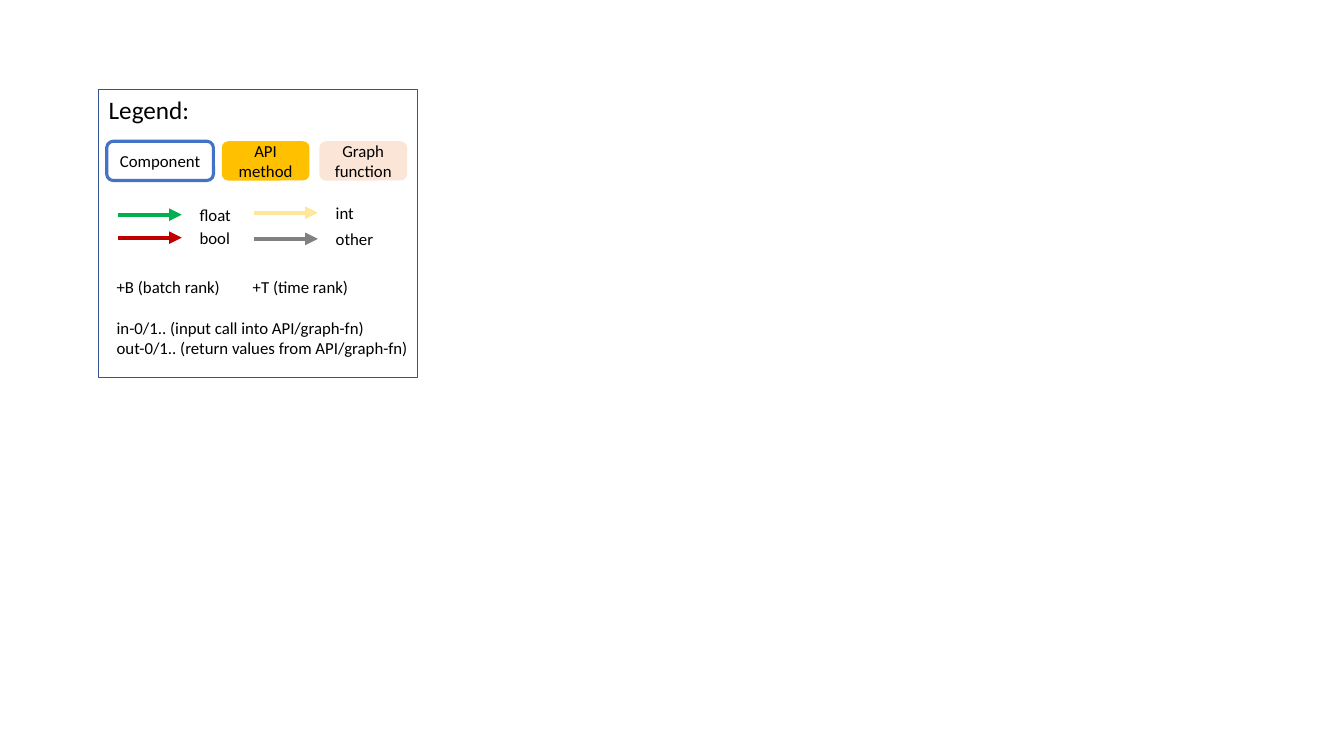
from lxml import etree
from pptx import Presentation
from pptx.dml.color import RGBColor
from pptx.enum import shapes, text
from pptx.oxml.ns import qn
from pptx.util import Cm, Pt


def color(hex_string):
    """Turn a hex string into a colour."""
    return RGBColor.from_string(hex_string)


def write(shape, content, size=12, align=text.PP_ALIGN.LEFT,
          anchor=text.MSO_ANCHOR.TOP, wrap=True):
    """Fill a shape with black Calibri text, one paragraph per line."""
    frame = shape.text_frame
    frame.text = content
    frame.word_wrap = wrap
    frame.vertical_anchor = anchor
    if not wrap:
        frame.auto_size = text.MSO_AUTO_SIZE.SHAPE_TO_FIT_TEXT
    for paragraph in frame.paragraphs:
        paragraph.alignment = align
        paragraph.font.size = Pt(size)
        for run in paragraph.runs:
            run.font.name = "Calibri"
            run.font.size = Pt(size)
            run.font.color.rgb = color("000000")
    return frame


presentation = Presentation()
presentation.slide_width = Cm(33.87)
presentation.slide_height = Cm(19.05)
slide = presentation.slides.add_slide(presentation.slide_layouts[6])
legend = slide.shapes.add_group_shape().shapes

# Frame and the three kinds of node
RECTANGLE = shapes.MSO_SHAPE.RECTANGLE
ROUNDED = shapes.MSO_SHAPE.ROUNDED_RECTANGLE
boxes = [
    ("Legend:", RECTANGLE, 2.49, 2.26, 8.03, 7.26, None, "325491", 1),
    ("API method", ROUNDED, 5.59, 3.56, 2.21, 0.99, "FFC000", None, 0),
    ("Graph function", ROUNDED, 8.05, 3.56, 2.21, 0.99, "FBE5D6", None, 0),
    ("Component", ROUNDED, 2.69, 3.56, 2.69, 0.99, None, "4472C4", 2.25),
]
for label, kind, left, top, width, height, fill, line, weight in boxes:
    box = legend.add_shape(kind, Cm(left), Cm(top), Cm(width), Cm(height))
    box.shadow.inherit = False
    if fill:
        box.fill.solid()
        box.fill.fore_color.rgb = color(fill)
    else:
        box.fill.background()
    if line:
        box.line.color.rgb = color(line)
        box.line.width = Pt(weight)
    else:
        box.line.fill.background()
    if kind == RECTANGLE:
        write(box, label, size=18)
    else:
        write(box, label, align=text.PP_ALIGN.CENTER,
              anchor=text.MSO_ANCHOR.MIDDLE)

# Arrows for the data types, in two columns
FIRST_COLUMN, COLUMN_STEP = 2.97, 3.43
data_types = [
    ("float", 0, 5.41, 1.32, "00B050"),
    ("int", 1, 5.36, 0.97, "FFE699"),
    ("bool", 0, 5.99, 1.3, "C00000"),
    ("other", 1, 6.02, 1.47, "808080"),
]
for name, column, y, label_width, line in data_types:
    x = FIRST_COLUMN + column * COLUMN_STEP
    arrow = legend.add_connector(shapes.MSO_CONNECTOR.STRAIGHT,
                                 Cm(x), Cm(y), Cm(x + 1.61), Cm(y))
    arrow.line.color.rgb = color(line)
    arrow.line.width = Pt(3)
    etree.SubElement(arrow.line._get_or_add_ln(), qn("a:tailEnd"), type="triangle")
    etree.SubElement(arrow._element.spPr, qn("a:effectLst"))
    label = legend.add_textbox(Cm(x + 1.81), Cm(y - 0.38), Cm(label_width), Cm(0.77))
    write(label, name, wrap=False)

# Rank and call notation
notation = legend.add_textbox(Cm(2.69), Cm(6.86), Cm(7.92), Cm(2.82))
frame = write(notation, "+B (batch rank)\t+T (time rank)\n"
              "in-0/1.. (input call into API/graph-fn)\n"
              "out-0/1.. (return values from API/graph-fn)", wrap=False)
ranks, calls, _ = frame.paragraphs
calls.space_before = Pt(14.5)
tab_stops = etree.SubElement(ranks._p.get_or_add_pPr(), qn("a:tabLst"))
etree.SubElement(tab_stops, qn("a:tab"), pos=str(Cm(COLUMN_STEP)), algn="l")
# Tab stops come before the default run format in the schema
default_format = ranks._p.pPr.find(qn("a:defRPr"))
default_format.addprevious(tab_stops)

presentation.save("out.pptx")
